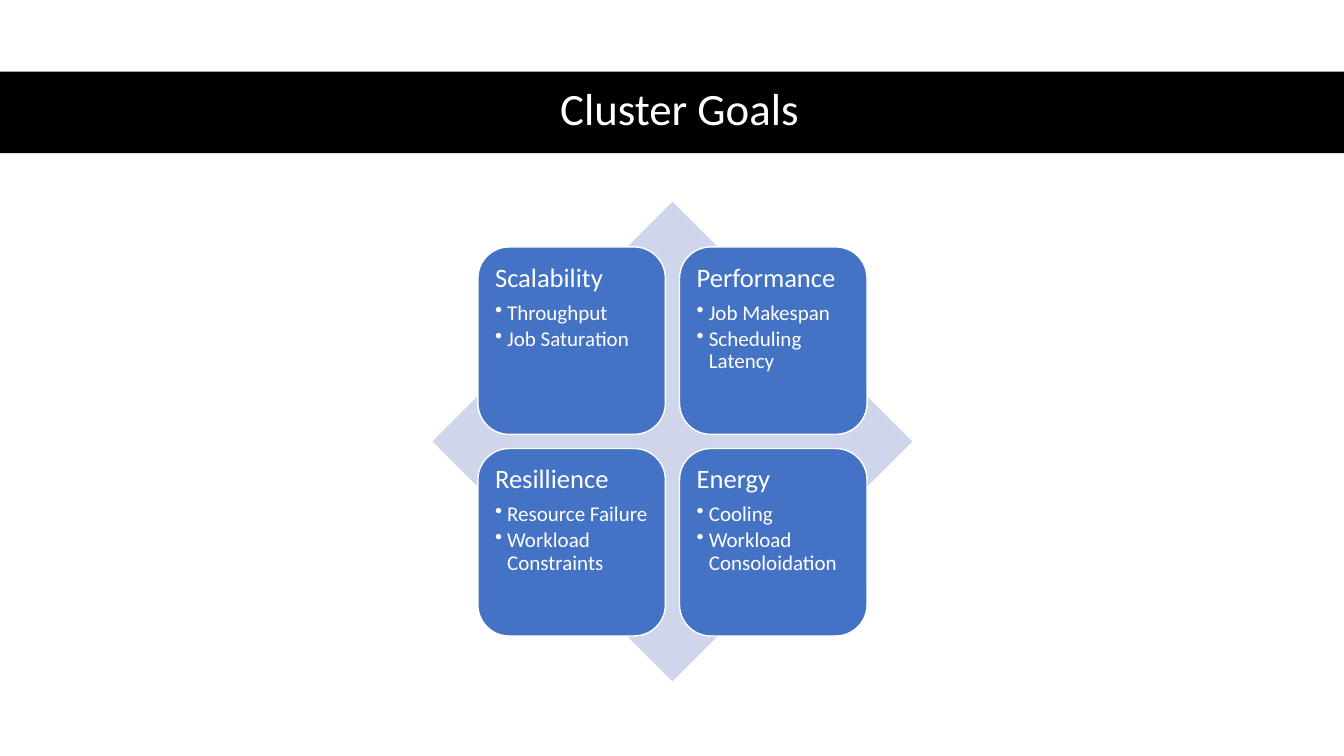
from dataclasses import dataclass

from lxml import etree
from pptx import Presentation
from pptx.dml.color import RGBColor
from pptx.enum.shapes import MSO_SHAPE
from pptx.enum.text import MSO_ANCHOR, MSO_AUTO_SIZE, PP_ALIGN
from pptx.oxml.ns import qn
from pptx.util import Inches, Pt

RECT = MSO_SHAPE.RECTANGLE
DIAMOND = MSO_SHAPE.DIAMOND
ROUNDED = MSO_SHAPE.ROUNDED_RECTANGLE
TOP, MIDDLE = MSO_ANCHOR.TOP, MSO_ANCHOR.MIDDLE
LEFT, CENTER = PP_ALIGN.LEFT, PP_ALIGN.CENTER
NO_AUTOFIT = MSO_AUTO_SIZE.NONE
TITLE_ONLY = 5


@dataclass(frozen=True)
class Theme:
    font: str = "Calibri"
    band: str = "000000"
    diamond: str = "CFD5EA"
    card: str = "4472C4"
    light: str = "FFFFFF"
    title_size: int = 32
    heading_size: int = 19
    item_size: int = 15


def write(p, text, *, size, color, font, align=LEFT, after=0, bullet=False):
    p.alignment = align
    p.line_spacing = 0.9
    p.space_before = Pt(0)
    p.space_after = Pt(after)
    if bullet:
        pPr = p._p.get_or_add_pPr()
        pPr.set("marL", str(Inches(0.12)))
        pPr.set("indent", str(Inches(-0.12)))
        etree.SubElement(pPr, qn("a:buChar")).set("char", "•")
    r = p.add_run()
    r.text = text
    r.font.name = font
    r.font.size = Pt(size)
    r.font.color.rgb = RGBColor.from_string(color)


class Deck:
    def __init__(self, prs, theme):
        self.theme = theme
        self.s = prs.slides.add_slide(prs.slide_layouts[TITLE_ONLY])

    def shape(self, kind, x, y, w, h, fill, line=None):
        sp = self.s.shapes.add_shape(kind, Inches(x), Inches(y), Inches(w), Inches(h))
        sp.shadow.inherit = False
        sp.fill.solid()
        sp.fill.fore_color.rgb = RGBColor.from_string(fill)
        if line:
            sp.line.color.rgb = RGBColor.from_string(line)
            sp.line.width = Pt(1)
        else:
            sp.line.fill.background()
        return sp

    def title(self, text, x, y, w, h):
        t = self.theme
        sp = self.s.shapes.title
        self.s.shapes._spTree.append(sp._element)
        sp.left, sp.top, sp.width, sp.height = map(Inches, (x, y, w, h))
        tf = sp.text_frame
        tf.auto_size = NO_AUTOFIT
        tf.vertical_anchor = MIDDLE
        write(tf.paragraphs[0], text, size=t.title_size, color=t.light,
              font=t.font, align=CENTER)

    def card(self, heading, items, x, y, side):
        t = self.theme
        sp = self.shape(ROUNDED, x, y, side, side, t.card, t.light)
        tf = sp.text_frame
        tf.word_wrap = True
        tf.vertical_anchor = TOP
        tf.margin_left = tf.margin_right = Inches(0.08)
        tf.margin_top = tf.margin_bottom = Inches(0.08)
        write(tf.paragraphs[0], heading, size=t.heading_size, color=t.light,
              font=t.font, after=6.65)
        for item in items:
            write(tf.add_paragraph(), item, size=t.item_size, color=t.light,
                  font=t.font, after=2.25, bullet=True)


GOALS = [
    ("Scalability", ["Throughput", "Job Saturation"]),
    ("Performance", ["Job Makespan", "Scheduling Latency"]),
    ("Resillience", ["Resource Failure", "Workload Constraints"]),
    ("Energy", ["Cooling", "Workload Consoloidation"]),
]
CARD_SIDE = 1.86
CARD_PITCH = 2.0

prs = Presentation()
prs.slide_width, prs.slide_height = Inches(13.33), Inches(7.5)
theme = Theme()
deck = Deck(prs, theme)

deck.shape(RECT, 0, 0.71, 13.33, 0.81, theme.band)
deck.title("Cluster Goals", 0.61, 0.7, 12.26, 0.81)
deck.shape(DIAMOND, 4.29, 2, 4.76, 4.76, theme.diamond)
for i, (heading, items) in enumerate(GOALS):
    row, col = divmod(i, 2)
    deck.card(heading, items, 4.74 + col * CARD_PITCH, 2.45 + row * CARD_PITCH, CARD_SIDE)

prs.save("out.pptx")
